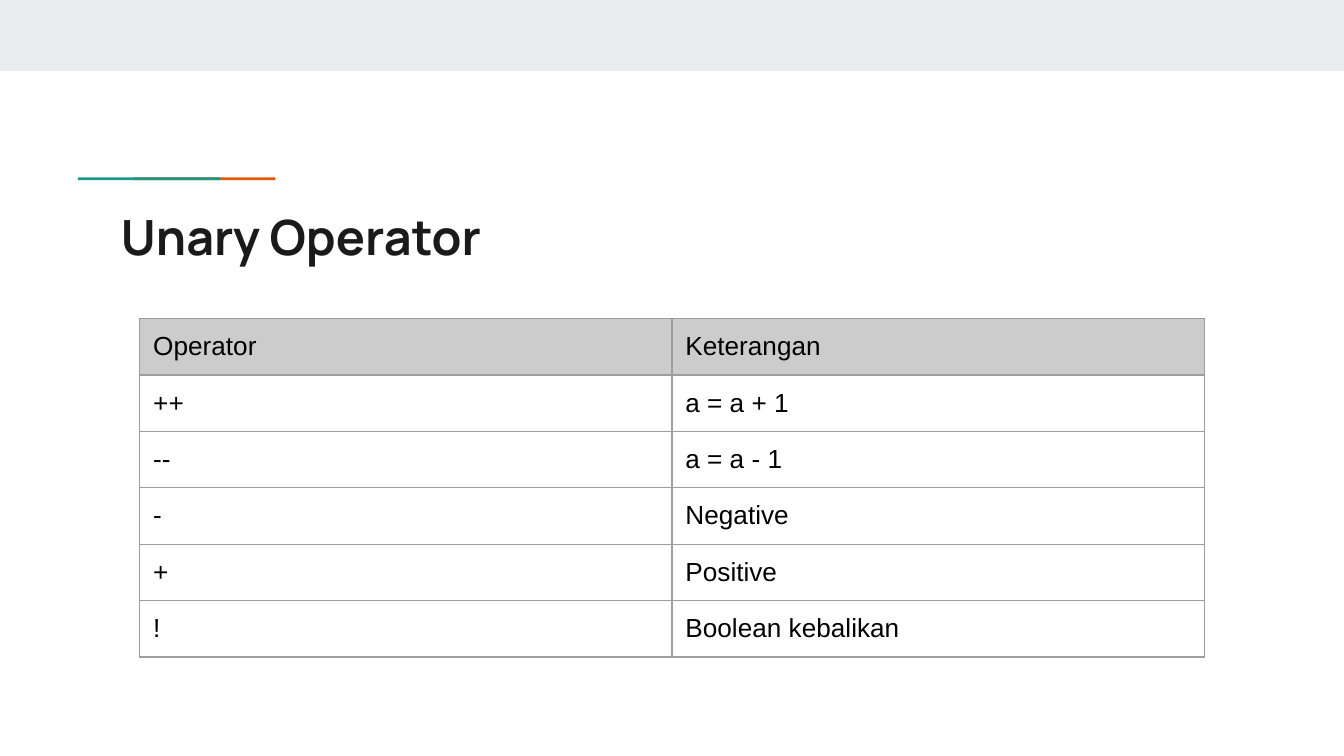
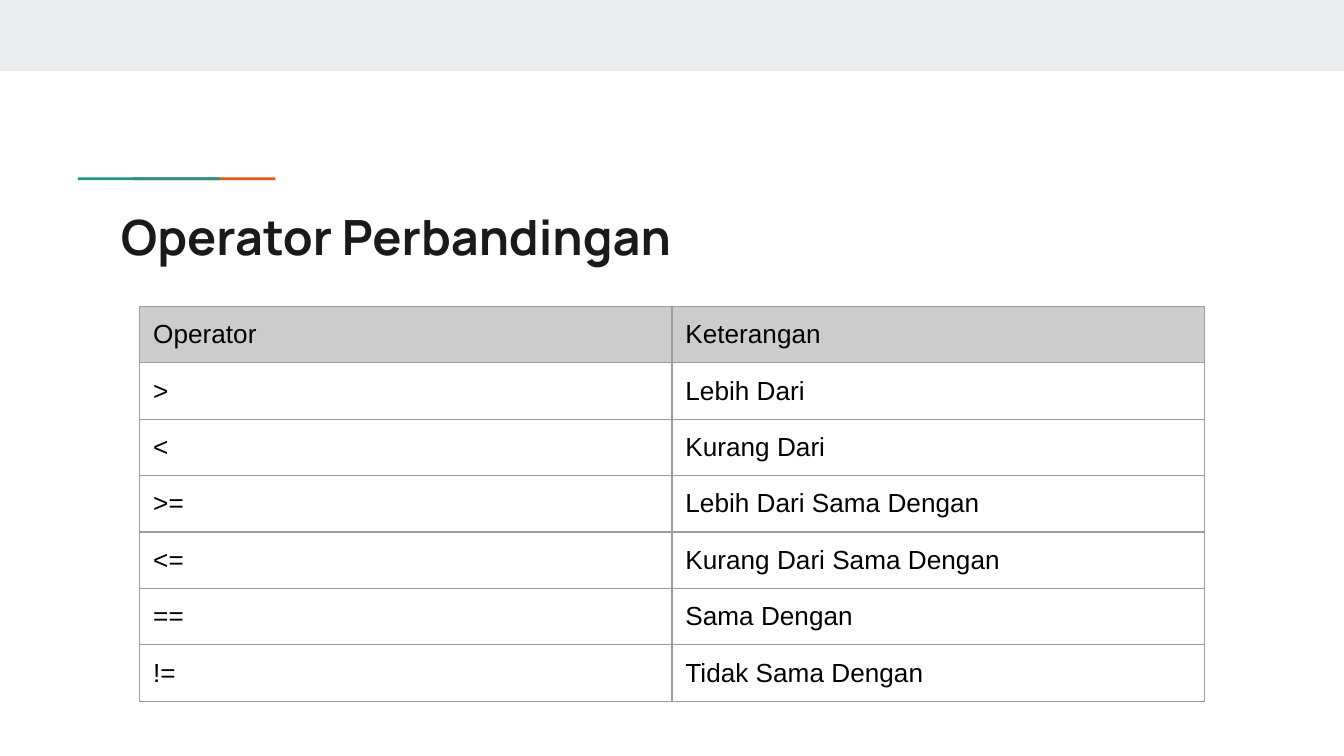
from pptx import Presentation
from pptx.dml.color import RGBColor
from pptx.enum.shapes import MSO_SHAPE
from pptx.enum.text import MSO_ANCHOR, MSO_AUTO_SIZE, PP_ALIGN
from pptx.oxml.ns import qn
from pptx.util import Inches, Pt
from lxml.etree import SubElement

# Shared style
BAND = RGBColor(0xE9, 0xED, 0xEE)
ORANGE = RGBColor(0xEB, 0x56, 0x00)
TEAL = RGBColor(0x1A, 0x99, 0x88)
TITLE_COLOR = RGBColor(0x1A, 0x1A, 0x1A)
BLACK = RGBColor(0x00, 0x00, 0x00)
HEADER_FILL = RGBColor(0xCC, 0xCC, 0xCC)
BORDER = RGBColor(0x9E, 0x9E, 0x9E)
TITLE_FONT = "Manrope"
TABLE_FONT = "Arial"
INSET = Inches(0.1)
ROW_HEIGHT = 0.42

# Left, top, width, height and colour; the teal accent overlaps the orange one
DECORATIONS = [
    (0, 0, 10, 0.53, BAND),
    (0.99, 1.32, 1.06, 0.02, ORANGE),
    (0.58, 1.32, 1.06, 0.02, TEAL),
]

# Title, table top and table rows of each slide
HEADER = ("Operator", "Keterangan")
SLIDES = [
    ("Unary Operator", 2.37, [
        HEADER,
        ("++", "a = a + 1"),
        ("--", "a = a - 1"),
        ("-", "Negative"),
        ("+", "Positive"),
        ("!", "Boolean kebalikan"),
    ]),
    ("Operator Perbandingan", 2.28, [
        HEADER,
        (">", "Lebih Dari"),
        ("<", "Kurang Dari"),
        (">=", "Lebih Dari Sama Dengan"),
        ("<=", "Kurang Dari Sama Dengan"),
        ("==", "Sama Dengan"),
        ("!=", "Tidak Sama Dengan"),
    ]),
]


def add_text(frame, text, font_name, size, color, bold=False):
    paragraph = frame.paragraphs[0]
    paragraph.alignment = PP_ALIGN.LEFT
    run = paragraph.add_run()
    run.text = text
    run.font.name = font_name
    run.font.size = Pt(size)
    run.font.bold = bold
    run.font.color.rgb = color


def set_borders(cell):
    properties = cell._tc.get_or_add_tcPr()
    # Border lines come before the fill in a cell's properties
    for index, side in enumerate(("a:lnL", "a:lnR", "a:lnT", "a:lnB")):
        line = SubElement(properties, qn(side), w=str(Pt(0.75)))
        fill = SubElement(line, qn("a:solidFill"))
        SubElement(fill, qn("a:srgbClr"), val=str(BORDER))
        properties.insert(index, line)


# Widescreen 16:9
presentation = Presentation()
presentation.slide_width = Inches(10)
presentation.slide_height = presentation.slide_width * 9 // 16
title_only = presentation.slide_layouts[5]

for title_text, table_top, rows in SLIDES:
    slide = presentation.slides.add_slide(title_only)

    # Top band and accent line
    for left, top, width, height, color in DECORATIONS:
        shape = slide.shapes.add_shape(
            MSO_SHAPE.RECTANGLE, Inches(left), Inches(top), Inches(width), Inches(height))
        shape.shadow.inherit = False
        shape.fill.solid()
        shape.fill.fore_color.rgb = color
        shape.line.fill.background()

    # Title
    title = slide.shapes.title
    title.left, title.top = Inches(0.8), Inches(1.44)
    title.width, title.height = Inches(8.41), Inches(0.59)
    frame = title.text_frame
    frame.margin_left = frame.margin_right = INSET
    frame.margin_top = frame.margin_bottom = INSET
    frame.word_wrap = True
    frame.auto_size = MSO_AUTO_SIZE.NONE
    frame.vertical_anchor = MSO_ANCHOR.TOP
    add_text(frame, title_text, TITLE_FONT, 26, TITLE_COLOR, bold=True)

    # Operator table
    table = slide.shapes.add_table(
        len(rows), len(HEADER), Inches(1.04), Inches(table_top),
        Inches(7.92), Inches(ROW_HEIGHT * len(rows))).table
    table.first_row = table.horz_banding = False
    for row_index, row in enumerate(rows):
        table.rows[row_index].height = Inches(ROW_HEIGHT)
        for column_index, text in enumerate(row):
            cell = table.cell(row_index, column_index)
            cell.margin_left = cell.margin_right = INSET
            cell.margin_top = cell.margin_bottom = INSET
            if row_index == 0:
                cell.fill.solid()
                cell.fill.fore_color.rgb = HEADER_FILL
            else:
                cell.fill.background()
            set_borders(cell)
            add_text(cell.text_frame, text, TABLE_FONT, 14, BLACK)

presentation.save("out.pptx")
